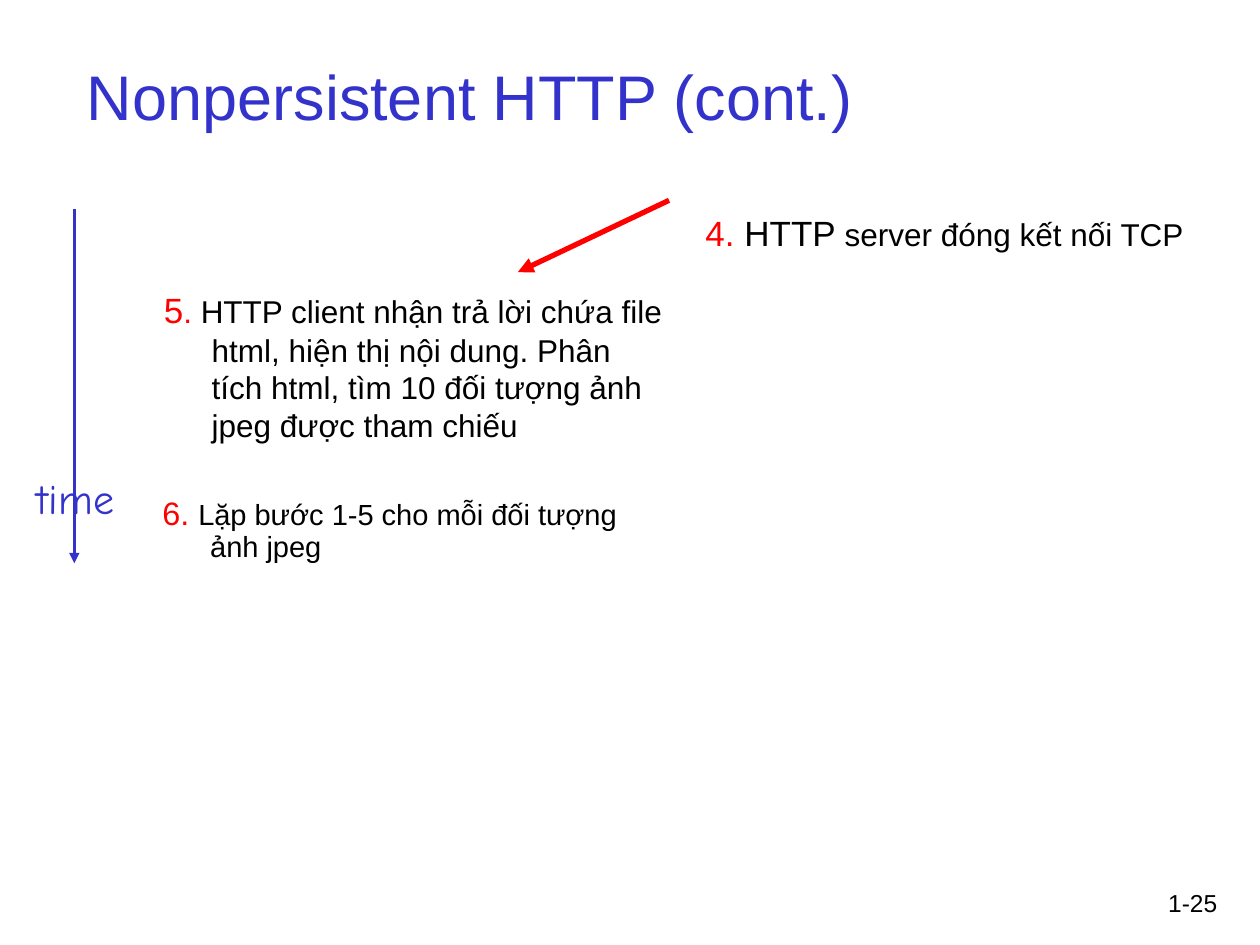
from lxml import etree
from pptx import Presentation
from pptx.dml.color import RGBColor
from pptx.enum import shapes, text
from pptx.oxml import ns
from pptx.util import Inches, Pt

BLUE, RED, BLACK = "3333CC", "FF0000", "000000"
LEFT, MID, RIGHT = text.PP_ALIGN.LEFT, text.PP_ALIGN.CENTER, text.PP_ALIGN.RIGHT
FIT, FIXED = text.MSO_AUTO_SIZE.SHAPE_TO_FIT_TEXT, text.MSO_AUTO_SIZE.NONE


def color(code):
    return RGBColor.from_string(code)


def place(shape, box):
    shape.left, shape.top, shape.width, shape.height = map(Inches, box)


def style(run, size, code, face="Arial"):
    run.font.name = face
    run.font.size = Pt(size)
    run.font.color.rgb = color(code)


def title(slide, box, words):
    shape = slide.shapes.title
    place(shape, box)
    frame = shape.text_frame
    frame.text = words
    frame.auto_size = FIXED
    frame.vertical_anchor = text.MSO_ANCHOR.MIDDLE
    para = frame.paragraphs[0]
    para.alignment = LEFT
    style(para.runs[0], 36, BLUE)


def label(slide, box, words, size, code, align, face="Arial", wrap=True):
    shape = slide.shapes.add_textbox(*map(Inches, box))
    frame = shape.text_frame
    frame.text = words
    frame.word_wrap = wrap
    frame.auto_size = FIXED if wrap else FIT
    para = frame.paragraphs[0]
    para.alignment = align
    style(para.runs[0], size, code, face)


def step(slide, box, parts, shape=None, space=1.0):
    """Numbered step with a hanging indent; parts are (words, size, colour)."""
    if shape is None:
        shape = slide.shapes.add_textbox(*map(Inches, box))
    place(shape, box)
    frame = shape.text_frame
    frame.word_wrap = True
    frame.auto_size = FIXED
    para = frame.paragraphs[0]
    props = para._p.get_or_add_pPr()
    props.set("marL", str(Inches(0.38)))
    props.set("indent", str(Inches(-0.38)))
    etree.SubElement(props, ns.qn("a:buNone"))
    para.alignment = LEFT
    para.line_spacing = space
    para.space_before = Pt(0)
    for words, size, code in parts:
        run = para.add_run()
        run.text = words
        style(run, size, code)


def arrow(slide, start, end, code, width):
    ends = map(Inches, (*start, *end))
    line = slide.shapes.add_connector(shapes.MSO_CONNECTOR.STRAIGHT, *ends)
    line.line.color.rgb = color(code)
    line.line.width = Pt(width)
    props = line._element.spPr
    tail = etree.SubElement(props.get_or_add_ln(), ns.qn("a:tailEnd"))
    tail.set("type", "triangle")
    etree.SubElement(props, ns.qn("a:effectLst"))


def main():
    deck = Presentation()
    deck.slide_width, deck.slide_height = Inches(10), Inches(7.5)
    slide = deck.slides.add_slide(deck.slide_layouts[1])

    # Heading and page number
    title(slide, (0.59, 0.28, 8.5, 0.95), "Nonpersistent HTTP (cont.)")
    label(slide, (9.08, 7, 0.68, 0.5), "1-25", 14, BLACK, RIGHT)

    # Client steps
    step(slide, (1.2, 2.24, 4.17, 1.68), [
        ("5", 20, RED),
        (".", 18, RED),
        (" HTTP client nhận trả lời chứa file html, hiện thị nội dung. "
         "Phân tích html, tìm 10 đối tượng ảnh jpeg được tham chiếu", 18, BLACK),
    ], shape=slide.placeholders[1])
    step(slide, (1.19, 3.9, 4.17, 0.73), [
        ("6. ", 18.5, RED),
        ("Lặp bước 1-5 cho mỗi đối tượng ảnh jpeg", 16.6, BLACK),
    ], space=0.9)

    # Server step
    step(slide, (5.5, 1.63, 4.17, 0.8), [
        ("4.", 20, RED),
        (" HTTP", 20, BLACK),
        (" server đóng kết nối TCP", 18, BLACK),
    ])

    # Time axis and reply arrow
    arrow(slide, (0.59, 1.66), (0.59, 4.47), BLUE, 1.5)
    label(slide, (0.15, 3.7, 0.9, 0.5), "time", 24, BLUE, MID, "Comic Neue", False)
    arrow(slide, (5.31, 1.59), (4.11, 2.16), RED, 3)

    deck.save("out.pptx")


if __name__ == "__main__":
    main()
